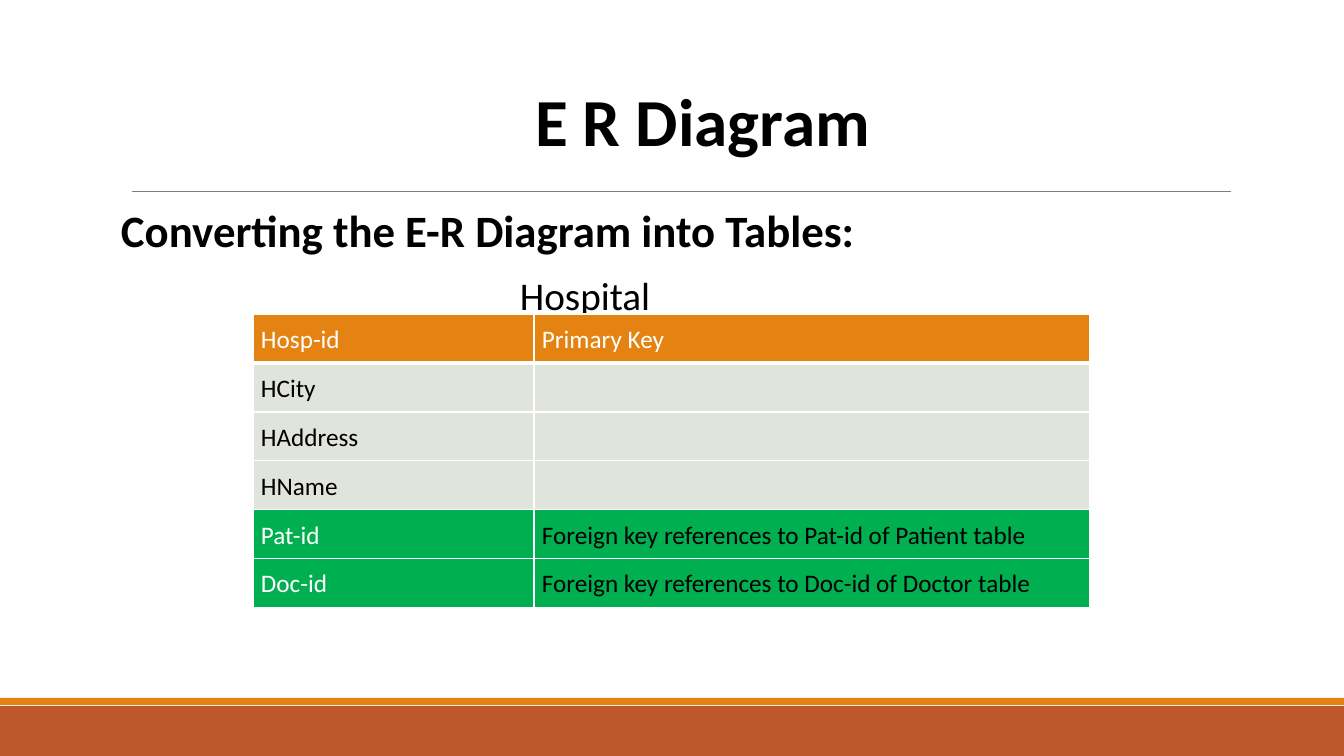
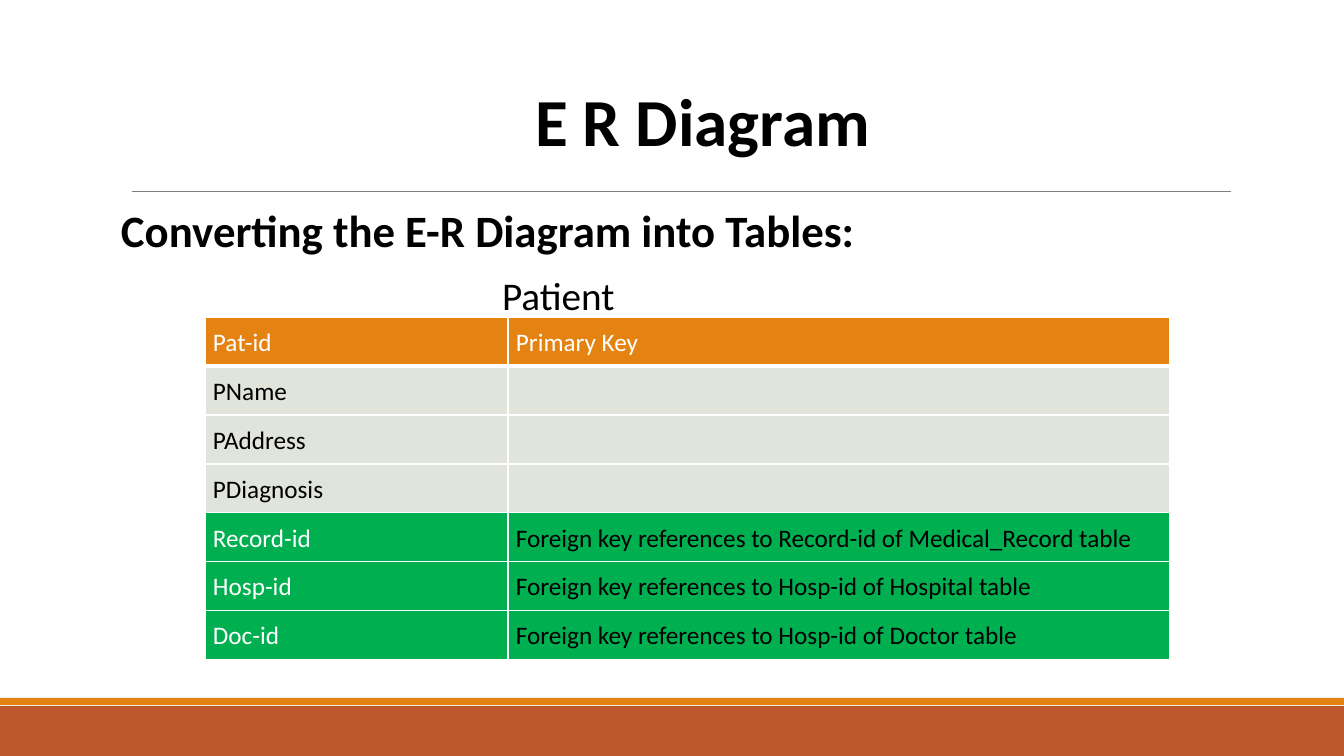
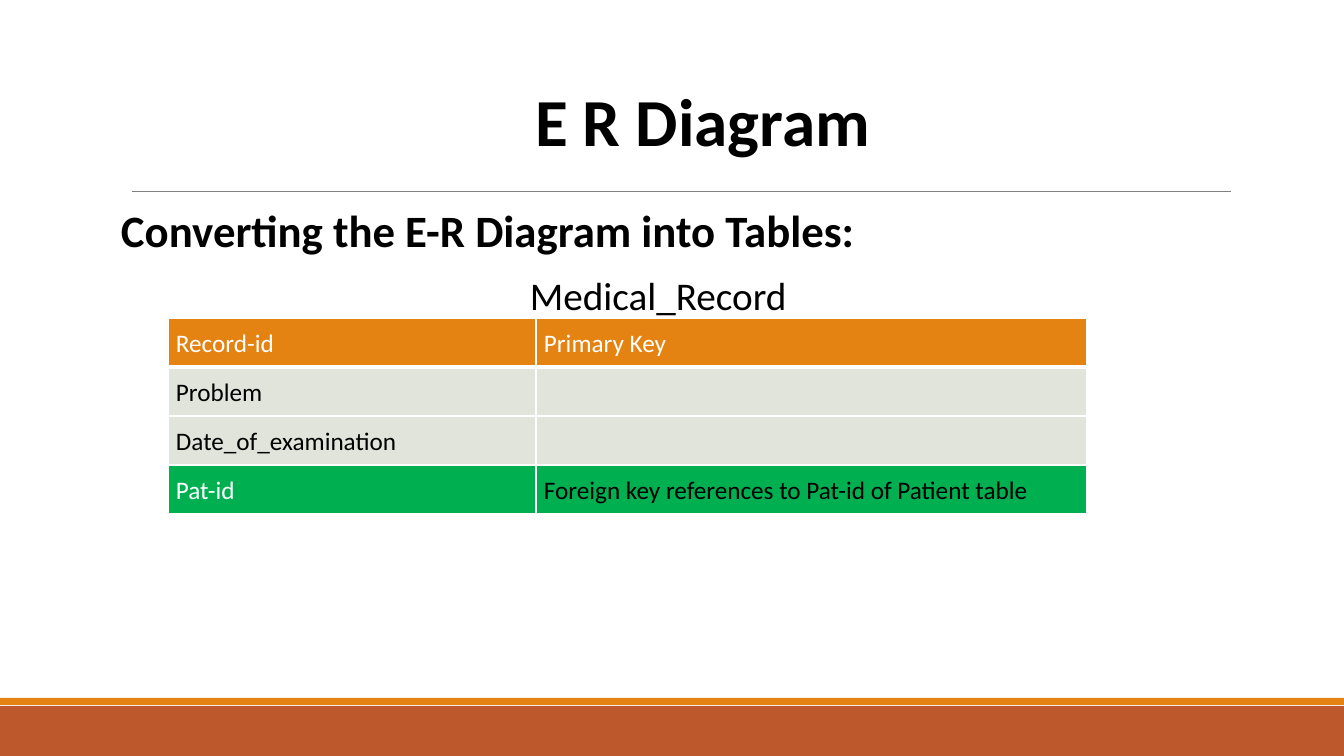
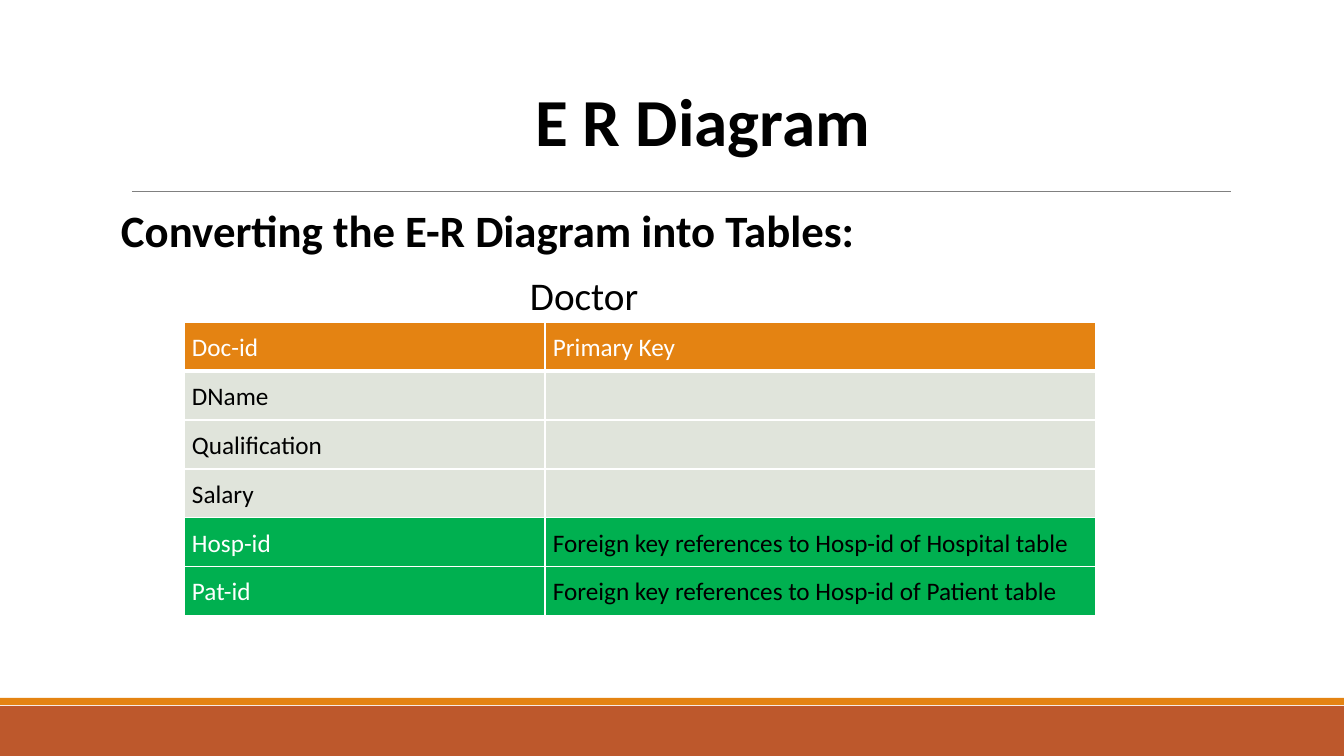
from lxml import etree
from pptx import Presentation
from pptx import util as u
from pptx.dml.color import RGBColor
from pptx.enum import shapes, text
from pptx.oxml import parse_xml
from pptx.oxml.ns import nsdecls, qn

FONT = "Calibri"
BLACK, WHITE, GREY = "000000", "FFFFFF", "808080"
ORANGE, RUST, PALE, GREEN = "E48312", "BD582C", "E0E4DB", "00B050"
WIDE, HIGH = 1344, 756
ROW, PAD = 49, 8


def px(n):
    return u.Emu(round(n * 12192000 / WIDE))


def put(para, words, size, tint, bold=False):
    """Add one run to a paragraph."""
    run = para.add_run()
    run.text = words
    run.font.name, run.font.size, run.font.bold = FONT, u.Pt(size), bold
    run.font.color.rgb = RGBColor.from_string(tint)


# Name, label indent, table left and top, column widths, rows.
# A row with a note is a foreign key; the first row is the primary key.
TABLES = [
    ("Hospital", 399, 253, 314, (281, 556), [
        ("Hosp-id", ""), ("HCity", ""), ("HAddress", ""), ("HName", ""),
        ("Pat-id", "Pat-id of Patient"),
        ("Doc-id", "Doc-id of Doctor")]),
    ("Patient", 381, 205, 317, (303, 662), [
        ("Pat-id", ""), ("PName", ""), ("PAddress", ""), ("PDiagnosis", ""),
        ("Record-id", "Record-id of Medical_Record"),
        ("Hosp-id", "Hosp-id of Hospital"),
        ("Doc-id", "Hosp-id of Doctor")]),
    ("Medical_Record", 409, 168, 318, (368, 551), [
        ("Record-id", ""), ("Problem", ""), ("Date_of_examination", ""),
        ("Pat-id", "Pat-id of Patient")]),
    ("Doctor", 409, 184, 322, (361, 551), [
        ("Doc-id", ""), ("DName", ""), ("Qualification", ""), ("Salary", ""),
        ("Hosp-id", "Hosp-id of Hospital"),
        ("Pat-id", "Hosp-id of Patient")]),
]

deck = Presentation()
deck.slide_width, deck.slide_height = px(WIDE), px(HIGH)
layout = deck.slide_layouts[5]

# Shared layout: title place, bands and rule
for mark in list(layout.placeholders):
    if mark.placeholder_format.type == shapes.PP_PLACEHOLDER.TITLE:
        mark.left, mark.top = px(525), px(74)
        mark.width, mark.height = px(364), px(92)
    else:
        layout.shapes.element.remove(mark.element)

first = deck.slides.add_slide(layout)
for top, tall, tint in ((706, 50, RUST), (698, 7, ORANGE)):
    band = first.shapes.add_shape(
        shapes.MSO_SHAPE.RECTANGLE, 0, px(top), px(WIDE), px(tall))
    band.shadow.inherit = False
    band.fill.solid()
    band.fill.fore_color.rgb = RGBColor.from_string(tint)
    band.line.fill.background()
    layout.shapes.element.append(band.element)
rule = first.shapes.add_connector(
    shapes.MSO_CONNECTOR.STRAIGHT, px(132), px(191), px(1231), px(191))
rule.line.color.rgb = RGBColor.from_string(GREY)
rule.line.width = u.Pt(0.5)
etree.SubElement(rule.element.spPr, qn("a:effectLst"))
layout.shapes.element.append(rule.element)

for at, (name, indent, left, top, cols, rows) in enumerate(TABLES):
    slide = deck.slides.add_slide(layout) if at else first

    frame = slide.shapes.title.text_frame
    frame.vertical_anchor = text.MSO_ANCHOR.TOP
    frame.auto_size = text.MSO_AUTO_SIZE.NONE
    frame.paragraphs[0].alignment = text.PP_ALIGN.LEFT
    put(frame.paragraphs[0], "E R Diagram", 48, BLACK, True)

    body = slide.shapes.add_textbox(px(121), px(204), px(1109), px(444))
    frame = body.text_frame
    frame.word_wrap = True
    frame.margin_left = frame.margin_right = 0
    head, label = frame.paragraphs[0], frame.add_paragraph()
    for para in (head, label):
        para.line_spacing = 0.9
        para.space_before, para.space_after = u.Pt(12), u.Pt(2)
    put(head, "Converting the E-R Diagram into Tables:", 32, BLACK, True)
    put(label, name, 28, BLACK)
    props = label._p.get_or_add_pPr()
    props.set("marL", str(px(indent)))
    props.set("indent", "0")

    grid = slide.shapes.add_table(
        len(rows), len(cols), px(left), px(top),
        px(sum(cols)), px(ROW * len(rows))).table
    grid.first_row = grid.horz_banding = False
    for col, wide in zip(grid.columns, cols):
        col.width = px(wide)

    for i, (field, note) in enumerate(rows):
        grid.rows[i].height = px(ROW)
        if i == 0:
            fill, tints, note = ORANGE, (WHITE, WHITE), "Primary Key"
        elif note:
            fill, tints = GREEN, (WHITE, BLACK)
            note = f"Foreign key references to {note} table"
        else:
            fill, tints = PALE, (BLACK, BLACK)
        for j, words in enumerate((field, note)):
            cell = grid.cell(i, j)
            cell.margin_left = cell.margin_right = px(PAD)
            cell.margin_top = cell.margin_bottom = px(PAD)
            for side in "LRTB":
                thick = (side, i) in (("B", 0), ("T", 1))
                cell._tc.get_or_add_tcPr().append(parse_xml(
                    f'<a:ln{side} {nsdecls("a")} w="{u.Pt(3 if thick else 1)}">'
                    f'<a:solidFill><a:srgbClr val="{WHITE}"/></a:solidFill>'
                    f'</a:ln{side}>'))
            cell.fill.solid()
            cell.fill.fore_color.rgb = RGBColor.from_string(fill)
            para = cell.text_frame.paragraphs[0]
            para.line_spacing = 1.07
            if words:
                put(para, words, 18, tints[j])

deck.save("out.pptx")
